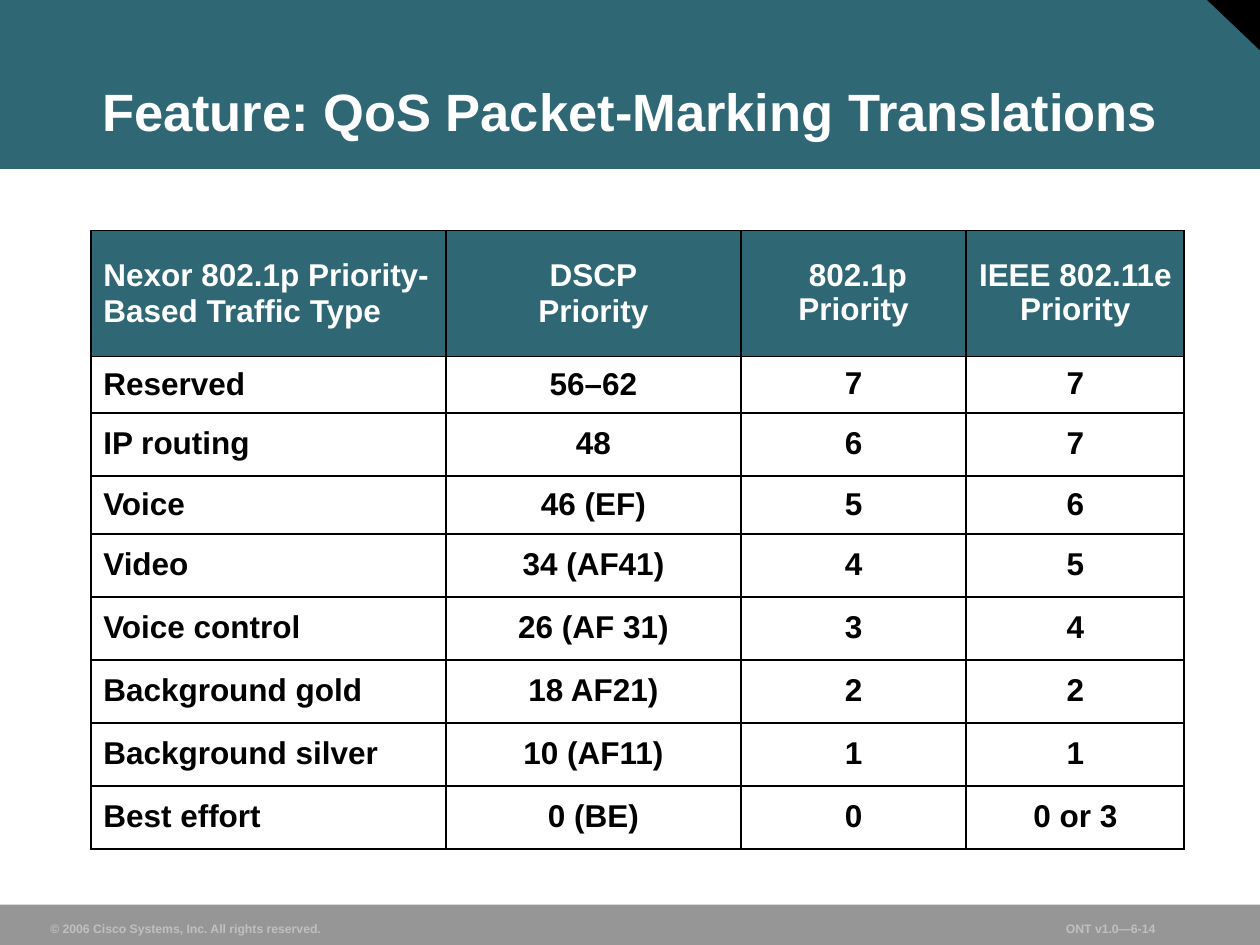
from dataclasses import dataclass

from lxml import etree
from pptx import Presentation
from pptx.dml.color import RGBColor
from pptx.enum import shapes, text
from pptx.oxml import ns
from pptx.util import Inches, Pt

COLS, ROWS = 100, 75  # slide grid
UNIT = Inches(0.1)


@dataclass(frozen=True)
class Theme:
    font: str = "Arial"
    teal: str = "306774"
    grey: str = "969696"
    pale: str = "C0C0C0"
    white: str = "FFFFFF"
    black: str = "000000"
    title: float = 30
    body: float = 18
    foot: float = 7
    rule: float = 1.08


LOOK = Theme()
WIDTHS = (28.2, 23.4, 17.9, 17.3)
HEIGHTS = (10, 4.5, 5, 4.6) + (5,) * 5
DATA = (
    ("Nexor 802.1p Priority-Based Traffic Type", "DSCP\nPriority",
     " 802.1p Priority", "IEEE 802.11e Priority"),
    ("Reserved", "56–62", "7", "7"),
    ("IP routing", "48", "6", "7"),
    ("Voice", "46 (EF)", "5", "6"),
    ("Video", "34 (AF41)", "4", "5"),
    ("Voice control", "26 (AF 31)", "3", "4"),
    ("Background gold", "18 AF21)", "2", "2"),
    ("Background silver", "10 (AF11)", "1", "1"),
    ("Best effort", "0 (BE)", "0", "0 or 3"),
)


def grid(*vals):
    return [round(v * UNIT) for v in vals]


def write(frame, words, size, hue, align=text.PP_ALIGN.LEFT, space=1.0):
    for i, line in enumerate(words.split("\n")):
        para = frame.add_paragraph() if i else frame.paragraphs[0]
        para.alignment, para.line_spacing = align, space
        run = para.add_run()
        run.text = line
        font = run.font
        font.name, font.size, font.bold = LOOK.font, Pt(size), True
        font.color.rgb = RGBColor.from_string(hue)


def block(slide, kind, box, hue, turn=0):
    item = slide.shapes.add_shape(kind, *grid(*box))
    item.shadow.inherit = False
    item.fill.solid()
    item.fill.fore_color.rgb = RGBColor.from_string(hue)
    item.line.fill.background()
    item.rotation = turn


def label(slide, box, words, size, hue, wrap=False, space=1.0):
    frame = slide.shapes.add_textbox(*grid(*box)).text_frame
    frame.word_wrap = wrap
    frame.vertical_anchor = text.MSO_ANCHOR.BOTTOM
    frame.margin_left = frame.margin_right = Inches(0.09)
    frame.margin_top = frame.margin_bottom = Inches(0.04)
    write(frame, words, size, hue, space=space)


def border(cell):
    props = cell._tc.get_or_add_tcPr()
    for side in ("lnL", "lnR", "lnT", "lnB"):
        line = etree.SubElement(props, ns.qn(f"a:{side}"), w=str(Pt(LOOK.rule)))
        fill = etree.SubElement(line, ns.qn("a:solidFill"))
        etree.SubElement(fill, ns.qn("a:srgbClr"), val=LOOK.black)


def style(cell, words, row, col):
    head = row == 0
    border(cell)
    if head:
        cell.fill.solid()
        cell.fill.fore_color.rgb = RGBColor.from_string(LOOK.teal)
    else:
        cell.fill.background()
    cell.vertical_anchor = text.MSO_ANCHOR.MIDDLE
    cell.margin_left = cell.margin_right = Inches(0.1)
    cell.margin_top = cell.margin_bottom = Inches(0.05)
    align = text.PP_ALIGN.CENTER if col else text.PP_ALIGN.LEFT
    # The first two rows are set solid in their first two columns.
    space = 1.0 if row < 2 and col < 2 else 0.95
    write(cell.text_frame, words, LOOK.body,
          LOOK.white if head else LOOK.black, align, space)


def matrix(slide, left, top):
    box = grid(left, top, sum(WIDTHS), sum(HEIGHTS))
    table = slide.shapes.add_table(len(DATA), len(WIDTHS), *box).table
    table.horz_banding = False
    for col, wide in zip(table.columns, grid(*WIDTHS)):
        col.width = wide
    for row, high in zip(table.rows, grid(*HEIGHTS)):
        row.height = high
    for r, line in enumerate(DATA):
        for c, words in enumerate(line):
            style(table.cell(r, c), words, r, c)


def main():
    deck = Presentation()
    deck.slide_width, deck.slide_height = grid(COLS, ROWS)
    slide = deck.slides.add_slide(deck.slide_layouts[6])
    kind = shapes.MSO_SHAPE
    block(slide, kind.RECTANGLE, (0, 0, COLS, 13.4), LOOK.teal)
    block(slide, kind.RIGHT_TRIANGLE, (COLS - 4.2, 0, 4.2, 4), LOOK.black, 180)
    block(slide, kind.RECTANGLE, (0, ROWS - 3.2, COLS, 3.2), LOOK.grey)
    label(slide, (3.1, 72.6, 23.3, 2.1),
          "© 2006 Cisco Systems, Inc. All rights reserved.", LOOK.foot, LOOK.pale)
    label(slide, (83.7, 72.6, 9, 2.1), "ONT v1.0—6-14", LOOK.foot, LOOK.pale)
    label(slide, (7.2, 2.5, 89.1, 9.2), "Feature: QoS Packet-Marking Translations",
          LOOK.title, LOOK.white, wrap=True, space=0.9)
    matrix(slide, 7.2, 18.3)
    deck.save("out.pptx")


if __name__ == "__main__":
    main()
